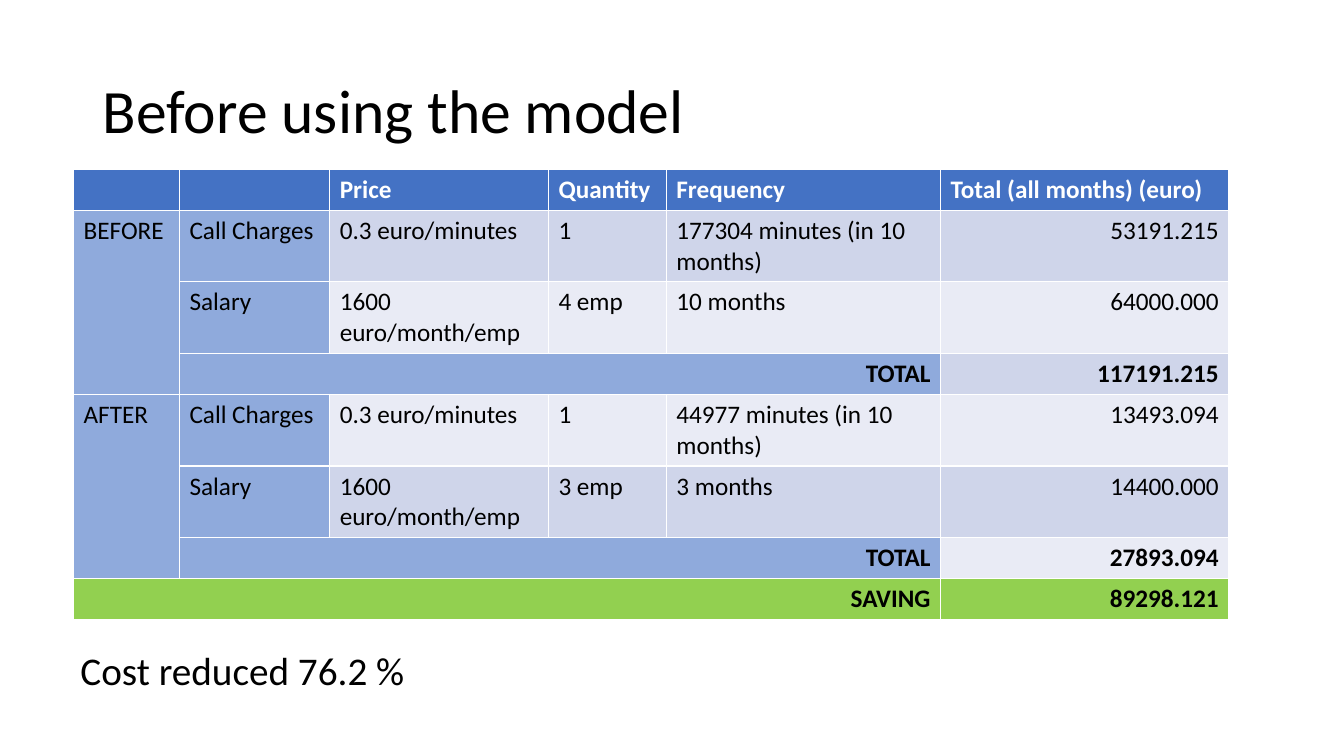
from pptx import Presentation
from pptx.dml.color import RGBColor
from pptx.enum.text import MSO_ANCHOR, MSO_AUTO_SIZE, PP_ALIGN
from pptx.util import Inches, Pt

WHITE = RGBColor(0xFF, 0xFF, 0xFF)
BLACK = RGBColor(0x00, 0x00, 0x00)
HEADER = RGBColor(0x44, 0x72, 0xC4)
LABEL = RGBColor(0x8F, 0xAA, 0xDC)
BANDS = [RGBColor(0xE9, 0xEB, 0xF5), RGBColor(0xCF, 0xD5, 0xEA)]
SAVING = RGBColor(0x92, 0xD0, 0x50)
LEFT, RIGHT = PP_ALIGN.LEFT, PP_ALIGN.RIGHT
TOP, MIDDLE = MSO_ANCHOR.TOP, MSO_ANCHOR.MIDDLE
NO_AUTOFIT = MSO_AUTO_SIZE.NONE

COLUMNS = [1.05, 1.49, 2.17, 1.17, 2.72, 2.86]
LINE_ROW, WRAPPED_ROW = 0.4, 0.71
ROWS = [
    ["", "", "Price", "Quantity", "Frequency", "Total (all months) (euro)"],
    ["BEFORE", "Call Charges", "0.3 euro/minutes", "1",
     "177304 minutes (in 10 months)", "53191.215"],
    ["", "Salary", "1600 euro/month/emp", "4 emp", "10 months", "64000.000"],
    ["", "TOTAL", "", "", "", "117191.215"],
    ["AFTER", "Call Charges", "0.3 euro/minutes", "1",
     "44977 minutes (in 10 months)", "13493.094"],
    ["", "Salary", "1600 euro/month/emp", "3 emp", "3 months", "14400.000"],
    ["", "TOTAL", "", "", "", "27893.094"],
    ["SAVING", "", "", "", "", "89298.121"],
]
MERGES = [(1, 0, 3, 0), (4, 0, 6, 0), (3, 1, 3, 4), (6, 1, 6, 4), (7, 0, 7, 4)]
SUM_ROWS = [3, 6, 7]
SAVING_ROW = 7


def write(tf, text, size, color=BLACK, bold=False, align=LEFT):
    p = tf.paragraphs[0]
    p.alignment = align
    r = p.add_run()
    r.text = text
    r.font.color.rgb = color
    for name, value in {"name": "Calibri", "size": Pt(size), "bold": bold}.items():
        setattr(r.font, name, value)
    return p


prs = Presentation()
prs.slide_width, prs.slide_height = Inches(13.33), Inches(7.5)
s = prs.slides.add_slide(prs.slide_layouts[5])

title = s.shapes.title
box = {"left": 0.92, "top": 0.4, "width": 11.5, "height": 1.45}
for name, value in box.items():
    setattr(title, name, Inches(value))
tf = title.text_frame
for name, value in {"word_wrap": True, "auto_size": NO_AUTOFIT,
                    "vertical_anchor": MIDDLE}.items():
    setattr(tf, name, value)
write(tf, "Before using the model", 44).line_spacing = 0.9

heights = [LINE_ROW if i == 0 or i in SUM_ROWS else WRAPPED_ROW
           for i in range(len(ROWS))]
table = s.shapes.add_table(len(ROWS), len(COLUMNS), Inches(0.73), Inches(1.68),
                           Inches(sum(COLUMNS)), Inches(sum(heights))).table
for column, width in zip(table.columns, COLUMNS):
    column.width = Inches(width)
for row, height in zip(table.rows, heights):
    row.height = Inches(height)

for i, values in enumerate(ROWS):
    for j, text in enumerate(values):
        cell = table.cell(i, j)
        is_header, is_sum = i == 0, i in SUM_ROWS
        is_total = j == len(COLUMNS) - 1
        if is_header:
            fill = HEADER
        elif i == SAVING_ROW:
            fill = SAVING
        elif j < 2 or (is_sum and not is_total):
            fill = LABEL
        else:
            fill = BANDS[i % 2]
        cell.fill.solid()
        cell.fill.fore_color.rgb = fill
        cell.vertical_anchor = MIDDLE if is_total and i >= 6 else TOP
        if text:
            write(cell.text_frame, text, 18, WHITE if is_header else BLACK,
                  is_header or is_sum,
                  RIGHT if is_sum or (is_total and not is_header) else LEFT)

for top, left, bottom, right in MERGES:
    table.cell(top, left).merge(table.cell(bottom, right))

sp = s.shapes.add_textbox(Inches(0.7), Inches(6.42), Inches(11.5), Inches(0.67))
sp.text_frame.word_wrap = True
p = write(sp.text_frame, "Cost reduced 76.2 %", 28)
p.line_spacing = 0.9
p.space_before = Pt(10)

prs.save("out.pptx")
